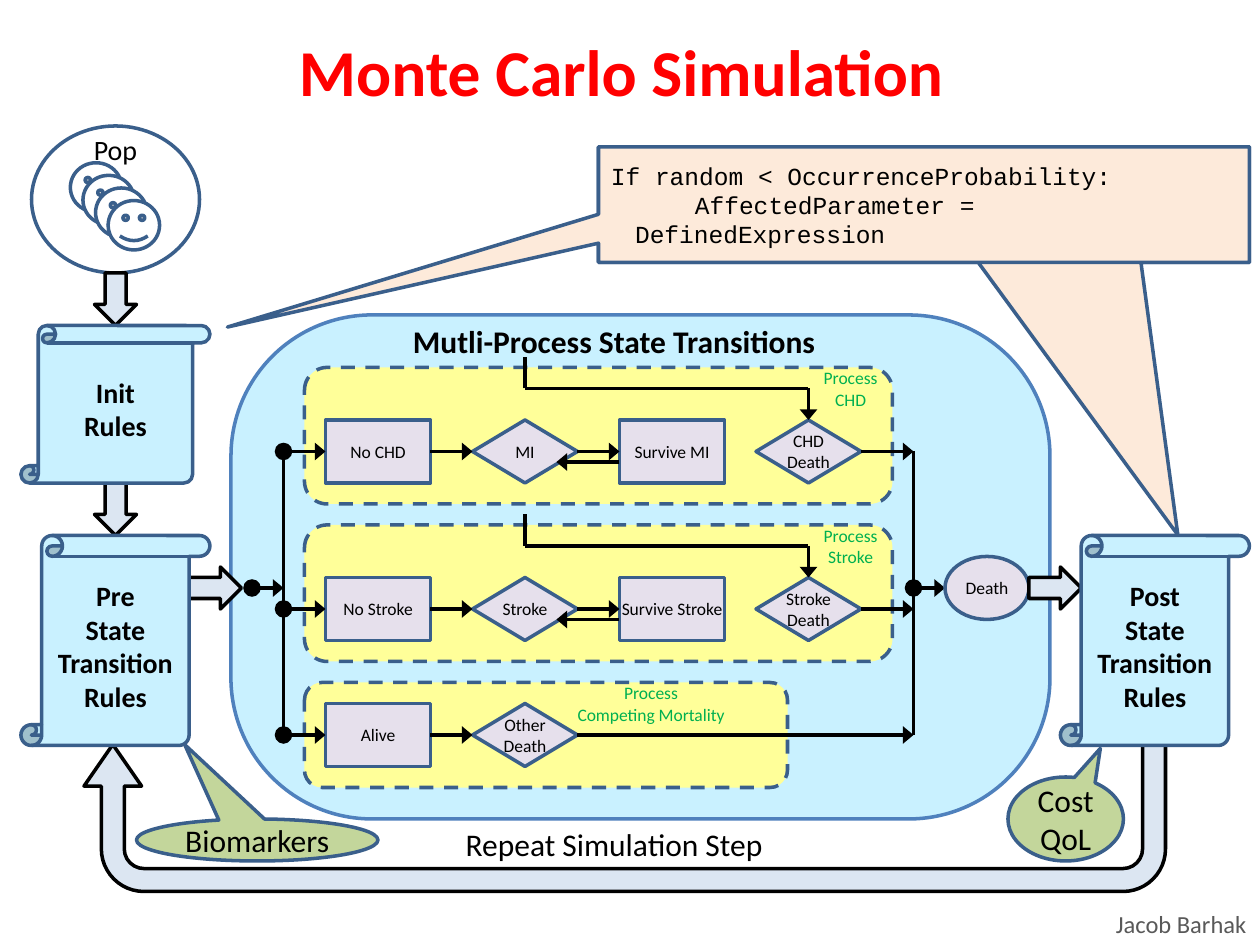
from lxml.etree import SubElement
from pptx import Presentation
from pptx.dml.color import RGBColor
from pptx.enum.dml import MSO_LINE
from pptx.enum.shapes import MSO_CONNECTOR, MSO_SHAPE
from pptx.enum.text import MSO_ANCHOR, PP_ALIGN
from pptx.oxml.ns import qn
from pptx.util import Pt

PX = 7620
BLACK, NAVY, SKY, LILAC = "000000", "3A5F8B", "C9F1FF", "E6E0EC"
PALE, PEACH, OLIVE, WHITE = "DCE6F2", "FDEADA", "C3D69B", "FFFFFF"
YELLOW, GREEN = "FFFF99", "00B050"

NODE_WIDTH, NODE_HEIGHT = 100, 60
START_X, EVENT_X, SURVIVE_X, DEATH_X = 310, 450, 590, 720
ENTRY_X, EXIT_X, MAIN_Y = 270, 870, 560

PROCESSES = [
    dict(panel=(290, 350, 560, 130), node_top=400, label=(760, 350, 100, 40),
         title="Process\nCHD", start="No CHD", event="MI",
         survive="Survive MI", death="CHD Death"),
    dict(panel=(290, 500, 560, 130), node_top=550, label=(760, 500, 100, 40),
         title="Process\nStroke", start="No Stroke", event="Stroke",
         survive="Survive Stroke", death="Stroke Death"),
    dict(panel=(290, 650, 460, 100), node_top=670, label=(510, 650, 220, 40),
         title="Process\nCompeting Mortality", start="Alive", event="Other Death"),
]
BLOCK_ARROWS = [(85, 265, 90), (85, 465, 90), (980, 540, 0), (180, 540, 0)]
SCROLLS = [
    ((20, 310, 180, 150), "Init\nRules"),
    ((20, 510, 180, 200), "Pre\nState Transition Rules"),
    ((1010, 510, 180, 200), "Post\nState Transition Rules"),
]
BUBBLES = [
    ((960, 740, 110, 80), (0.3, -0.84), "Cost QoL"),
    ((130, 780, 230, 40), (-0.3, -2.27), "Biomarkers"),
]
RULE_AREA = (570, 140, 620, 110)
RULE_TEXT = "If random < OccurrenceProbability:\nAffectedParameter = DefinedExpression"
RULE_POINTERS = [((0.39, 2.86), ""), ((-1.07, 1.06), RULE_TEXT)]

deck = Presentation()
deck.slide_width, deck.slide_height = 1200 * PX, 900 * PX
page = deck.slides.add_slide(deck.slide_layouts[6])


def color(value):
    """Turn a hex string into a colour."""
    return RGBColor.from_string(value)


def write_text(box, text, size=10, ink=BLACK, bold=False, font="Calibri",
               align=PP_ALIGN.CENTER, anchor=MSO_ANCHOR.MIDDLE, side=12, spacing=None):
    """Fill a shape with one paragraph per line of text."""
    frame = box.text_frame
    frame.word_wrap = True
    frame.vertical_anchor = anchor
    frame.margin_left = frame.margin_right = side * PX
    frame.margin_top = frame.margin_bottom = 6 * PX
    for index, line in enumerate(text.split("\n")):
        para = frame.add_paragraph() if index else frame.paragraphs[0]
        para.alignment = align
        para.line_spacing = spacing
        span = para.add_run()
        span.text = line
        span.font.name, span.font.size, span.font.bold = font, Pt(size), bold
        span.font.color.rgb = color(ink)


def add_text(area, text, **style):
    """Add a text box."""
    write_text(page.shapes.add_textbox(*(part * PX for part in area)), text, **style)


def add_box(kind, area, fill, line=NAVY, adjust=(), turn=0, dashed=False, text="", **style):
    """Add an outlined preset shape, with text where given."""
    box = page.shapes.add_shape(kind, *(part * PX for part in area))
    box.shadow.inherit = False
    box.rotation = turn
    box.fill.solid()
    box.fill.fore_color.rgb = color(fill)
    box.line.color.rgb = color(line)
    box.line.width = Pt(2)
    if dashed:
        box.line.dash_style = MSO_LINE.DASH
    for index, value in enumerate(adjust):
        box.adjustments[index] = value
    if text:
        write_text(box, text, **style)
    return box


def add_line(x1, y1, x2, y2, dot=False, arrow=False):
    """Add a straight line with an optional starting dot and arrowhead."""
    line = page.shapes.add_connector(
        MSO_CONNECTOR.STRAIGHT, *(part * PX for part in (x1, y1, x2, y2)))
    line.line.color.rgb = color(BLACK)
    line.line.width = Pt(2)
    properties = line._element.spPr
    outline = properties.find(qn("a:ln"))
    if dot:
        SubElement(outline, qn("a:headEnd"), type="oval", w="lg", len="lg")
    if arrow:
        SubElement(outline, qn("a:tailEnd"), type="triangle", w="lg", len="med")
    SubElement(properties, qn("a:effectLst"))


def add_arrow(x1, y1, x2, y2, dot=False):
    """Add a line that ends in a triangle."""
    add_line(x1, y1, x2, y2, dot, arrow=True)


def add_node(kind, x, y, text, width=NODE_WIDTH):
    """Add a state node."""
    add_box(kind, (x, y, width, NODE_HEIGHT), LILAC, text=text, side=0)


def add_process(panel, node_top, label, title, start, event, survive=None, death=None):
    """Draw one process panel with its states and transitions."""
    middle = node_top + NODE_HEIGHT // 2
    event_middle, death_middle = (x + NODE_WIDTH // 2 for x in (EVENT_X, DEATH_X))
    add_box(MSO_SHAPE.ROUNDED_RECTANGLE, panel, YELLOW, dashed=True)
    add_node(MSO_SHAPE.RECTANGLE, START_X, node_top, start)
    add_node(MSO_SHAPE.FLOWCHART_DECISION, EVENT_X, node_top, event)
    add_arrow(ENTRY_X, middle, START_X, middle, dot=True)
    add_arrow(START_X + NODE_WIDTH, middle, EVENT_X, middle)
    last_x = EVENT_X
    if survive:
        last_x = DEATH_X
        bend = node_top - 30
        add_node(MSO_SHAPE.RECTANGLE, SURVIVE_X, node_top, survive)
        add_node(MSO_SHAPE.FLOWCHART_DECISION, DEATH_X, node_top, death)
        add_arrow(EVENT_X + NODE_WIDTH, middle, SURVIVE_X, middle)
        add_arrow(SURVIVE_X, middle + 10, SURVIVE_X - 60, middle + 10)
        add_line(event_middle, bend, event_middle, bend - 30)
        add_line(event_middle, bend, death_middle, bend)
        add_arrow(death_middle, bend, death_middle, node_top)
    add_arrow(last_x + NODE_WIDTH, middle, EXIT_X, middle)
    add_text(label, title, ink=GREEN, side=0)


add_text((1000, 860, 199, 40), "Jacob Barhak", size=14, ink="595959",
         align=PP_ALIGN.RIGHT, anchor=MSO_ANCHOR.TOP)
add_text((52, 38, 1080, 70), "Monte Carlo Simulation", size=37.4, ink="FF0000",
         bold=True, anchor=MSO_ANCHOR.TOP, spacing=0.8)
add_box(MSO_SHAPE.U_TURN_ARROW, (80, 709, 1030, 140), PALE, BLACK,
        adjust=(0.156, 0.196, 0.283, 0.29, 1), turn=180)

add_box(MSO_SHAPE.OVAL, (30, 120, 160, 140), WHITE)
add_text((60, 122, 100, 40), "Pop", size=16)
for step in range(0, 48, 12):
    add_box(MSO_SHAPE.SMILEY_FACE, (67 + step, 155 + step, 49, 47), WHITE, adjust=(0.05,))

add_box(MSO_SHAPE.ROUNDED_RECTANGLE, (220, 300, 780, 480), SKY, "4F81BD", adjust=(0.28,))
for process in PROCESSES:
    add_process(**process)
for rail in (ENTRY_X, EXIT_X):
    add_line(rail, 430, rail, 700)
add_arrow(240, MAIN_Y, ENTRY_X, MAIN_Y, dot=True)
add_arrow(EXIT_X, MAIN_Y, 900, MAIN_Y, dot=True)
add_node(MSO_SHAPE.OVAL, 900, 530, "Death", width=80)
add_text((320, 301, 530, 48), "Mutli-Process State Transitions", size=18, bold=True)
add_text((320, 780, 530, 48), "Repeat Simulation Step", size=18)

for pointer, text in RULE_POINTERS:
    callout = add_box(MSO_SHAPE.RECTANGULAR_CALLOUT, RULE_AREA, PEACH, adjust=pointer,
                      text=text, size=14, font="Courier New", align=PP_ALIGN.LEFT)
    if text:
        indent = callout.text_frame.paragraphs[1]._p.get_or_add_pPr()
        indent.set("marL", str(23 * PX))
        indent.set("indent", str(57 * PX))
for area, pointer, text in BUBBLES:
    add_box(MSO_SHAPE.OVAL_CALLOUT, area, OLIVE, adjust=pointer, text=text, size=18)
for x, y, turn in BLOCK_ARROWS:
    add_box(MSO_SHAPE.RIGHT_ARROW, (x, y, 50, 40), PALE, BLACK, turn=turn)
for area, text in SCROLLS:
    add_box(MSO_SHAPE.VERTICAL_SCROLL, area, SKY, adjust=(0.11,), text=text, size=16, bold=True)

deck.save("out.pptx")
